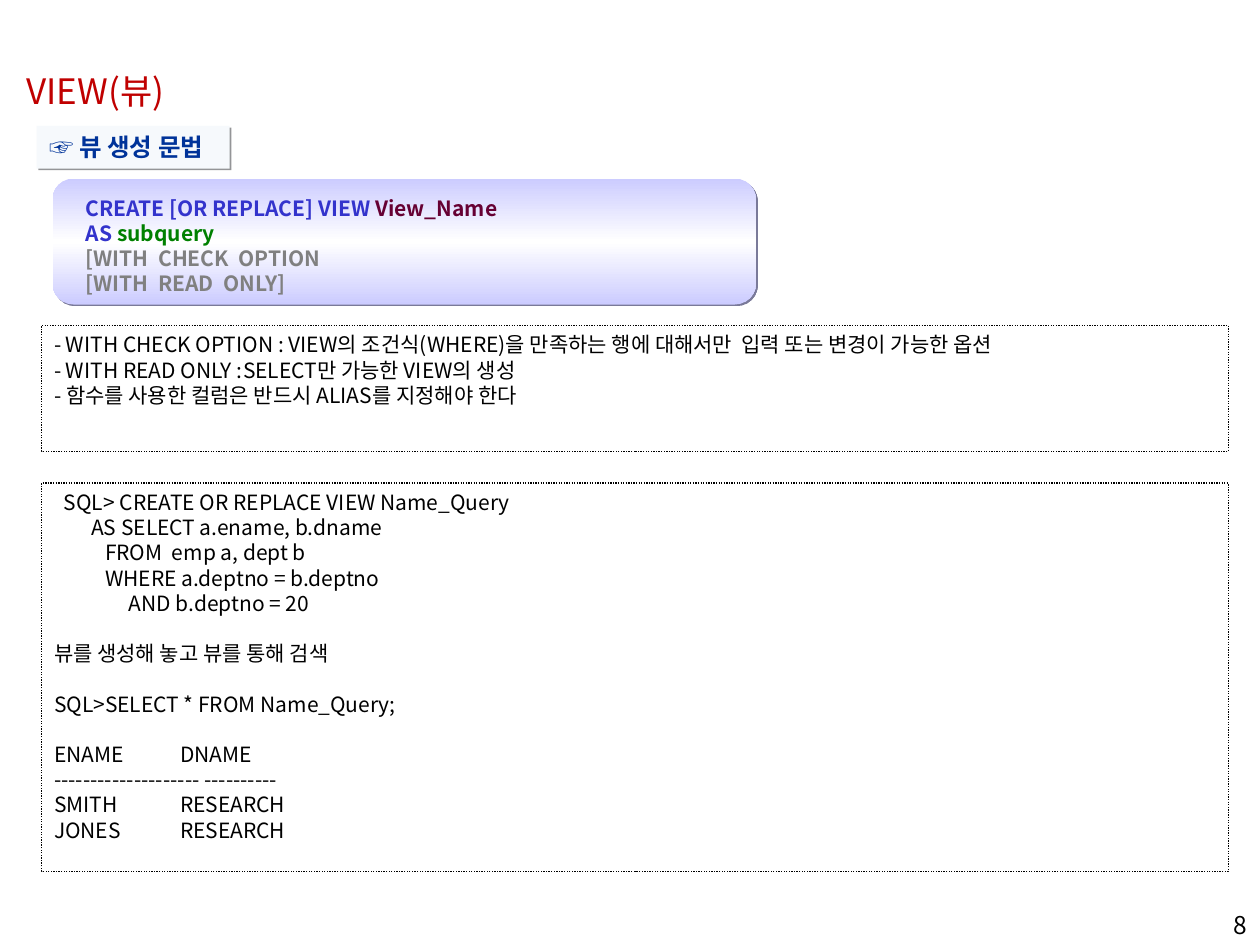
"""Build a slide on the syntax for creating a database view."""
from copy import deepcopy
from dataclasses import dataclass
from typing import Any, Optional

from lxml import etree
from pptx import Presentation
from pptx import util as u
from pptx.dml.color import RGBColor
from pptx.enum import dml, shapes, text
from pptx.oxml import ns

FONT = "Noto Sans CJK KR"
BLACK = RGBColor(0x00, 0x00, 0x00)
WHITE = RGBColor(0xFF, 0xFF, 0xFF)
RED = RGBColor(0xC0, 0x00, 0x00)
NAVY = RGBColor(0x00, 0x33, 0x99)
BLUE = RGBColor(0x33, 0x33, 0xCC)
PLUM = RGBColor(0x66, 0x00, 0x33)
GREEN = RGBColor(0x00, 0x80, 0x00)
GRAY = RGBColor(0x80, 0x80, 0x80)
LAVENDER = RGBColor(0xCC, 0xCC, 0xFF)
PALE = RGBColor(0xF6, 0xF9, 0xFC)
PALE_SHADE = RGBColor(0x94, 0x95, 0x97)
LAVENDER_SHADE = RGBColor(0x7A, 0x7A, 0x99)

FRAME_FORMAT = {
    "margin_left": u.Cm(0.25), "margin_right": u.Cm(0.25),
    "margin_top": u.Cm(0.13), "margin_bottom": u.Cm(0.13),
    "word_wrap": True, "auto_size": text.MSO_AUTO_SIZE.NONE,
    "vertical_anchor": text.MSO_ANCHOR.TOP,
}


@dataclass
class Box:
    """Place and size in centimetres."""
    left: float
    top: float
    width: float
    height: float

    def lengths(self) -> list[u.Cm]:
        """Give the four lengths in slide units."""
        return [u.Cm(n) for n in (self.left, self.top, self.width, self.height)]


@dataclass
class Line:
    """One paragraph of coloured phrases with its layout."""
    phrases: list[tuple[str, RGBColor]]
    indent: float = 0
    tab: Optional[float] = None
    gap: bool = False


def plain(words: str, color: RGBColor = BLACK, **layout: Any) -> Line:
    """Make a line of one colour."""
    return Line([(words, color)], **layout)


def apply(target: Any, values: dict[str, Any]) -> None:
    """Set every format value on the target."""
    for name, value in values.items():
        setattr(target, name, value)


def write(shape: Any, lines: list[Line], size: float = 12, bold: bool = False,
          align: Any = text.PP_ALIGN.LEFT) -> None:
    """Fill a shape with formatted lines."""
    frame = shape.text_frame
    apply(frame, FRAME_FORMAT)
    pitch = u.Pt(size * 1.2)
    for index, line in enumerate(lines):
        paragraph = frame.add_paragraph() if index else frame.paragraphs[0]
        apply(paragraph, {"alignment": align, "line_spacing": pitch,
                          "space_before": pitch if line.gap else u.Pt(0)})
        layout = paragraph._p.get_or_add_pPr()
        layout.set("marL", str(u.Cm(line.indent)))
        layout.set("indent", "0")
        if line.tab:
            tabs = etree.SubElement(layout, ns.qn("a:tabLst"))
            etree.SubElement(tabs, ns.qn("a:tab"), pos=str(u.Cm(line.tab)), algn="l")
        for words, color in line.phrases:
            run = paragraph.add_run()
            run.text = words
            apply(run.font, {"size": u.Pt(size), "bold": bold, "name": FONT})
            run.font.color.rgb = color
            etree.SubElement(run._r.get_or_add_rPr(), ns.qn("a:ea"), typeface=FONT)


def add_panel(slide: Any, kind: Any, box: Box) -> Any:
    """Add a preset shape with no line and no shadow."""
    panel = slide.shapes.add_shape(kind, *box.lengths())
    panel.shadow.inherit = False
    panel.line.fill.background()
    return panel


def cast_shadow(panel: Any, color: RGBColor) -> None:
    """Give a panel a hard shadow to the lower right."""
    effects = panel.element.spPr.find(ns.qn("a:effectLst"))
    shadow = etree.SubElement(effects, ns.qn("a:outerShdw"), dist=str(u.Pt(1.4)),
                              dir="2700000", algn="ctr", rotWithShape="0")
    etree.SubElement(shadow, ns.qn("a:srgbClr"), val=str(color))


def add_dotted(slide: Any, box: Box, lines: list[Line]) -> None:
    """Add a dotted frame with text."""
    frame = add_panel(slide, shapes.MSO_SHAPE.RECTANGLE, box)
    frame.fill.background()
    frame.line.color.rgb = BLACK
    apply(frame.line, {"width": u.Pt(0.74), "dash_style": dml.MSO_LINE.ROUND_DOT})
    write(frame, lines)


def add_syntax(slide: Any) -> None:
    """Add the gradient panel and the syntax on it."""
    panel = add_panel(slide, shapes.MSO_SHAPE.ROUNDED_RECTANGLE, Box(1.06, 3.6, 14.18, 2.54))
    panel.fill.gradient()
    panel.fill.gradient_angle = 90
    stops = panel.element.xpath(".//a:gsLst")[0]
    stops.append(deepcopy(stops[0]))
    for stop, place, color in zip(panel.fill.gradient_stops, (0, 0.5, 1),
                                  (LAVENDER, WHITE, LAVENDER)):
        stop.position = place
        stop.color.rgb = color
    cast_shadow(panel, LAVENDER_SHADE)
    syntax = slide.shapes.add_textbox(*Box(1.48, 3.81, 13.55, 2.29).lengths())
    write(syntax, [
        Line([("CREATE [OR REPLACE] VIEW ", BLUE), ("View_Name", PLUM)]),
        Line([("AS", BLUE), (" subquery", GREEN)]),
        plain("[WITH  CHECK  OPTION", GRAY),
        plain("[WITH  READ  ONLY]", GRAY),
    ], bold=True)


def main() -> None:
    """Build and save the slide."""
    deck = Presentation()
    apply(deck, {"slide_width": u.Cm(25.4), "slide_height": u.Cm(19.05)})
    slide = deck.slides.add_slide(deck.slide_layouts[5])

    title = slide.shapes.title
    apply(title, dict(zip(("left", "top", "width", "height"),
                          Box(0.28, 1.27, 3.94, 1.12).lengths())))
    write(title, [plain("VIEW(뷰)", RED)], size=20)

    heading = add_panel(slide, shapes.MSO_SHAPE.RECTANGLE, Box(0.74, 2.54, 3.89, 0.86))
    heading.fill.solid()
    heading.fill.fore_color.rgb = PALE
    cast_shadow(heading, PALE_SHADE)
    write(heading, [plain("☞ 뷰 생성 문법", NAVY)], size=14, bold=True)

    add_syntax(slide)
    add_dotted(slide, Box(0.84, 6.56, 23.92, 2.54), [
        plain("- WITH CHECK OPTION : VIEW의 조건식(WHERE)을 만족하는 행에 대해서만  "
              "입력 또는 변경이 가능한 옵션"),
        plain("- WITH READ ONLY :\tSELECT만 가능한 VIEW의 생성", tab=4.17),
        plain("- 함수를 사용한 컬럼은 반드시 ALIAS를 지정해야 한다"),
    ])
    rows = [("ENAME", "DNAME"), ("SMITH", "RESEARCH"), ("JONES", "RESEARCH")]
    header, *records = [plain("\t".join(row), tab=2.86) for row in rows]
    header.gap = True
    add_dotted(slide, Box(0.84, 9.74, 23.92, 7.83), [
        plain("SQL> CREATE OR REPLACE VIEW Name_Query", indent=0.2),
        plain("AS SELECT a.ename, b.dname", indent=0.75),
        plain("FROM  emp a, dept b", indent=1.03),
        plain("WHERE a.deptno = b.deptno", indent=1.03),
        plain("AND b.deptno = 20", indent=1.51),
        plain("뷰를 생성해 놓고 뷰를 통해 검색", gap=True),
        plain("SQL>SELECT * FROM Name_Query;", gap=True),
        header,
        plain("-" * 20 + " " + "-" * 10),
        *records,
    ])

    number = slide.shapes.add_textbox(*Box(20.12, 18.21, 5.28, 0.84).lengths())
    write(number, [plain("8")], size=14, align=text.PP_ALIGN.RIGHT)
    deck.save("out.pptx")


main()
